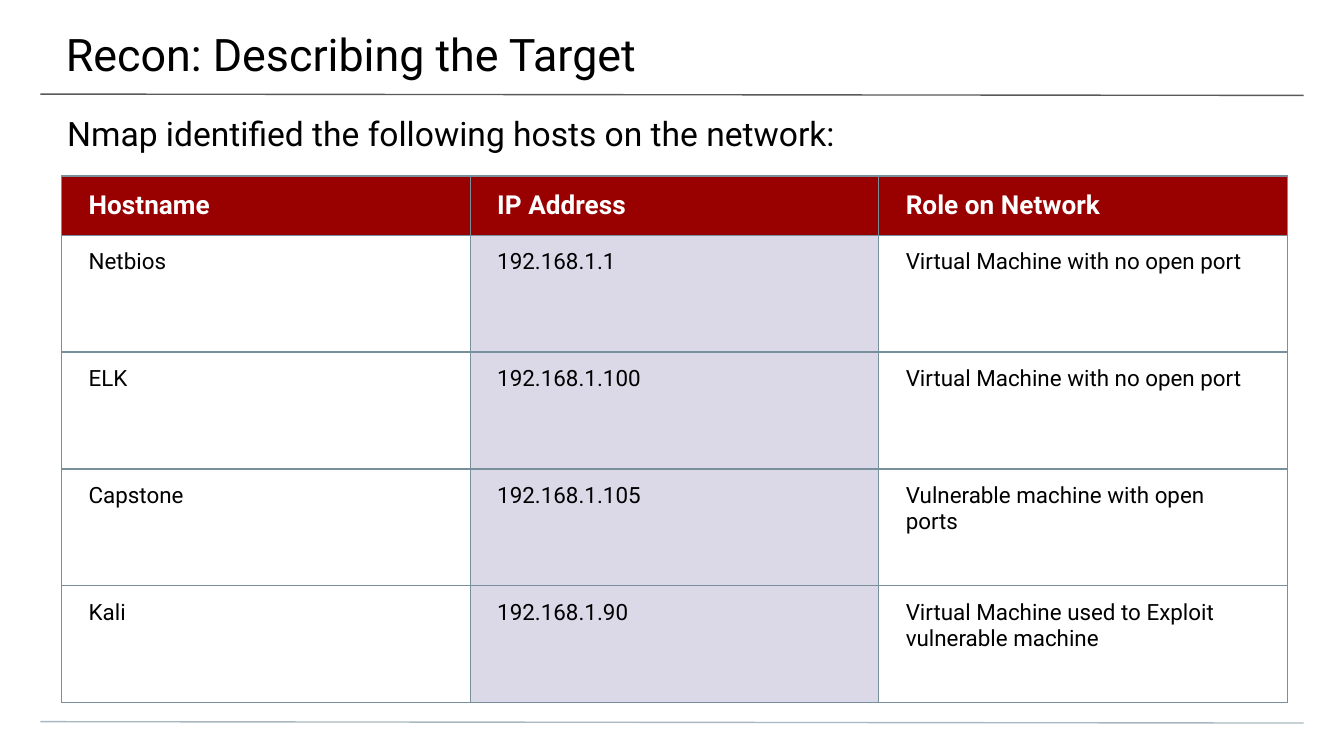
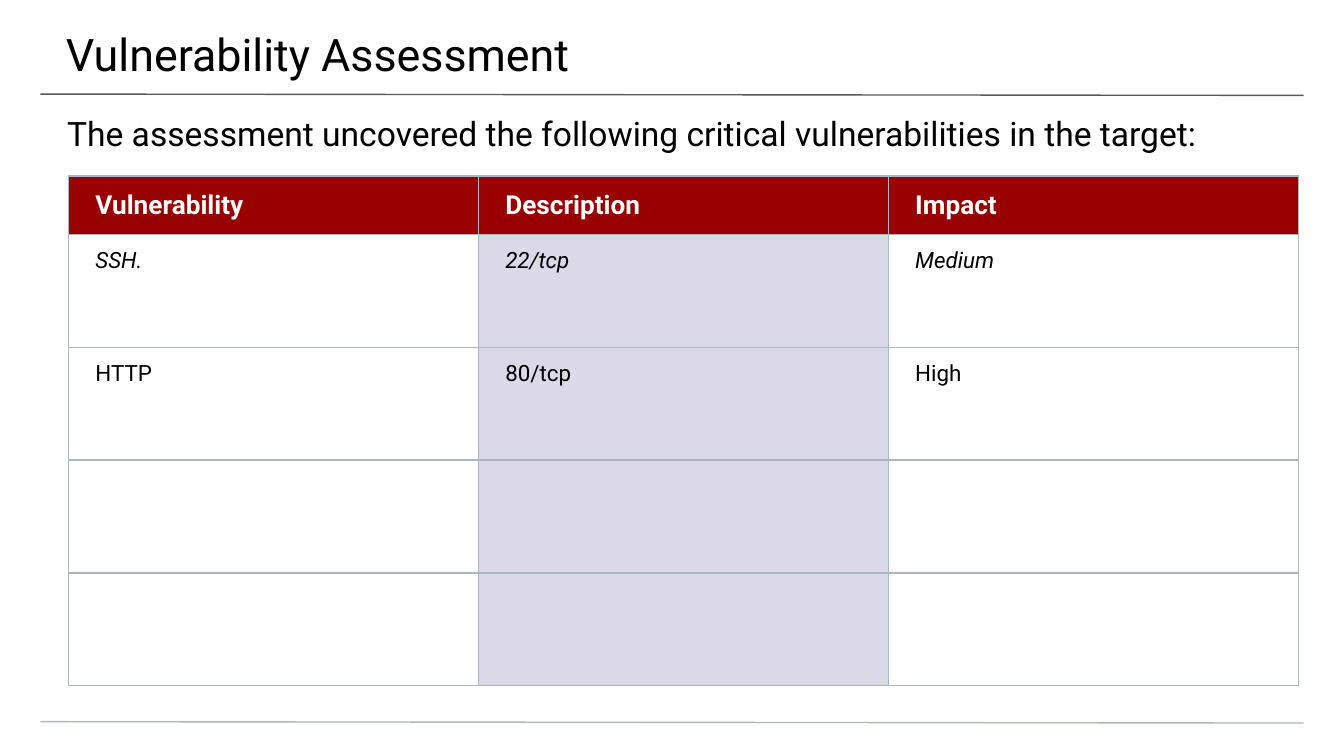
from lxml import etree
from pptx import Presentation
from pptx.dml.color import RGBColor
from pptx.enum.shapes import MSO_CONNECTOR
from pptx.enum.text import MSO_ANCHOR
from pptx.oxml import parse_xml
from pptx.oxml.ns import nsdecls, qn
from pptx.util import Inches, Pt

FONT = "Roboto"
BLACK, WHITE = "000000", "FFFFFF"
HEADER_FILL, MIDDLE_FILL = "990000", "DBD9E8"
TITLE_RULE, PALE_RULE, SLATE = "595959", "A9B7C0", "78909C"

SLIDES = [
    dict(
        title="Recon: Describing the Target",
        subtitle="Nmap identified the following hosts on the network:",
        left=0.46, col_width=3.04, header_height=0.44, row_height=0.87,
        border=SLATE, italic_rows=(),
        rows=[
            ("Hostname", "IP Address", "Role on Network"),
            ("Netbios", "192.168.1.1", "Virtual Machine with no open port"),
            ("ELK", "192.168.1.100", "Virtual Machine with no open port"),
            ("Capstone", "192.168.1.105", "Vulnerable machine with open ports"),
            ("Kali", "192.168.1.90",
             "Virtual Machine used to Exploit vulnerable machine"),
        ],
    ),
    dict(
        title="Vulnerability Assessment",
        subtitle="The assessment uncovered the following critical "
                 "vulnerabilities in the target:",
        left=0.51, col_width=3.05, header_height=0.43, row_height=0.84,
        border=PALE_RULE, italic_rows=(1,),
        rows=[
            ("Vulnerability", "Description", "Impact"),
            ("SSH.", "22/tcp", "Medium"),
            ("HTTP", "80/tcp", "High"),
            ("", "", ""),
            ("", "", ""),
        ],
    ),
]


def rgb(color):
    return RGBColor.from_string(color)


def set_margins(target, left, top, right, bottom):
    target.margin_left, target.margin_top = Inches(left), Inches(top)
    target.margin_right, target.margin_bottom = Inches(right), Inches(bottom)


def write(tf, text, size, color=BLACK, bold=False, italic=False):
    r = tf.paragraphs[0].add_run()
    r.text = text
    r.font.name, r.font.size = FONT, Pt(size)
    r.font.bold, r.font.italic = bold, italic
    r.font.color.rgb = rgb(color)


def add_text(s, text, box, margins, size):
    tf = s.shapes.add_textbox(*map(Inches, box)).text_frame
    tf.word_wrap = True
    set_margins(tf, *margins)
    write(tf, text, size)


def add_rule(s, y, color):
    """Draw a slightly sloping line across the slide."""
    line = s.shapes.add_connector(MSO_CONNECTOR.STRAIGHT, Inches(0.3), Inches(y),
                                  Inches(9.7), Inches(y + 0.01))
    line.line.color.rgb = rgb(color)
    line.line.width = Pt(0.75)
    etree.SubElement(line._element.spPr, qn("a:effectLst"))


def set_borders(cell, color):
    tcPr = cell._tc.get_or_add_tcPr()
    for i, side in enumerate(("lnL", "lnR", "lnT", "lnB")):
        tcPr.insert(i, parse_xml(
            f'<a:{side} {nsdecls("a")} w="{Pt(0.75)}"><a:solidFill>'
            f'<a:srgbClr val="{color}"/></a:solidFill></a:{side}>'))


def add_table(s, rows, left, col_width, header_height, row_height, border,
              italic_rows):
    n_rows, n_cols = len(rows), len(rows[0])
    height = header_height + row_height * (n_rows - 1)
    table = s.shapes.add_table(n_rows, n_cols, Inches(left), Inches(1.31),
                               Inches(col_width * n_cols), Inches(height)).table
    for column in table.columns:
        column.width = Inches(col_width)
    for i, values in enumerate(rows):
        header = i == 0
        table.rows[i].height = Inches(header_height if header else row_height)
        for j, text in enumerate(values):
            cell = table.cell(i, j)
            set_margins(cell, 0.2, 0.1, 0.2, 0.1)
            fill = HEADER_FILL if header else MIDDLE_FILL if j == 1 else None
            if fill:
                cell.fill.solid()
                cell.fill.fore_color.rgb = rgb(fill)
            else:
                cell.fill.background()
            set_borders(cell, border)
            if header:
                cell.vertical_anchor = MSO_ANCHOR.MIDDLE
                write(cell.text_frame, text, 14, WHITE, bold=True)
            elif text:
                write(cell.text_frame, text, 12, italic=i in italic_rows)


def add_slide(prs, title, subtitle, **table):
    s = prs.slides.add_slide(prs.slide_layouts[6])
    add_rule(s, 0.7, TITLE_RULE)
    add_rule(s, 5.37, PALE_RULE)
    add_text(s, title, (-0.01, 0, 10.03, 0.58), (0.5, 0.2, 0.3, 0.1), 24)
    add_text(s, subtitle, (0, 0.74, 10, 0.4), (0.5, 0.1, 0.5, 0), 18)
    add_table(s, **table)


def main():
    prs = Presentation()
    prs.slide_width = Inches(10)
    prs.slide_height = prs.slide_width * 9 // 16
    for content in SLIDES:
        add_slide(prs, **content)
    prs.save("out.pptx")


if __name__ == "__main__":
    main()
